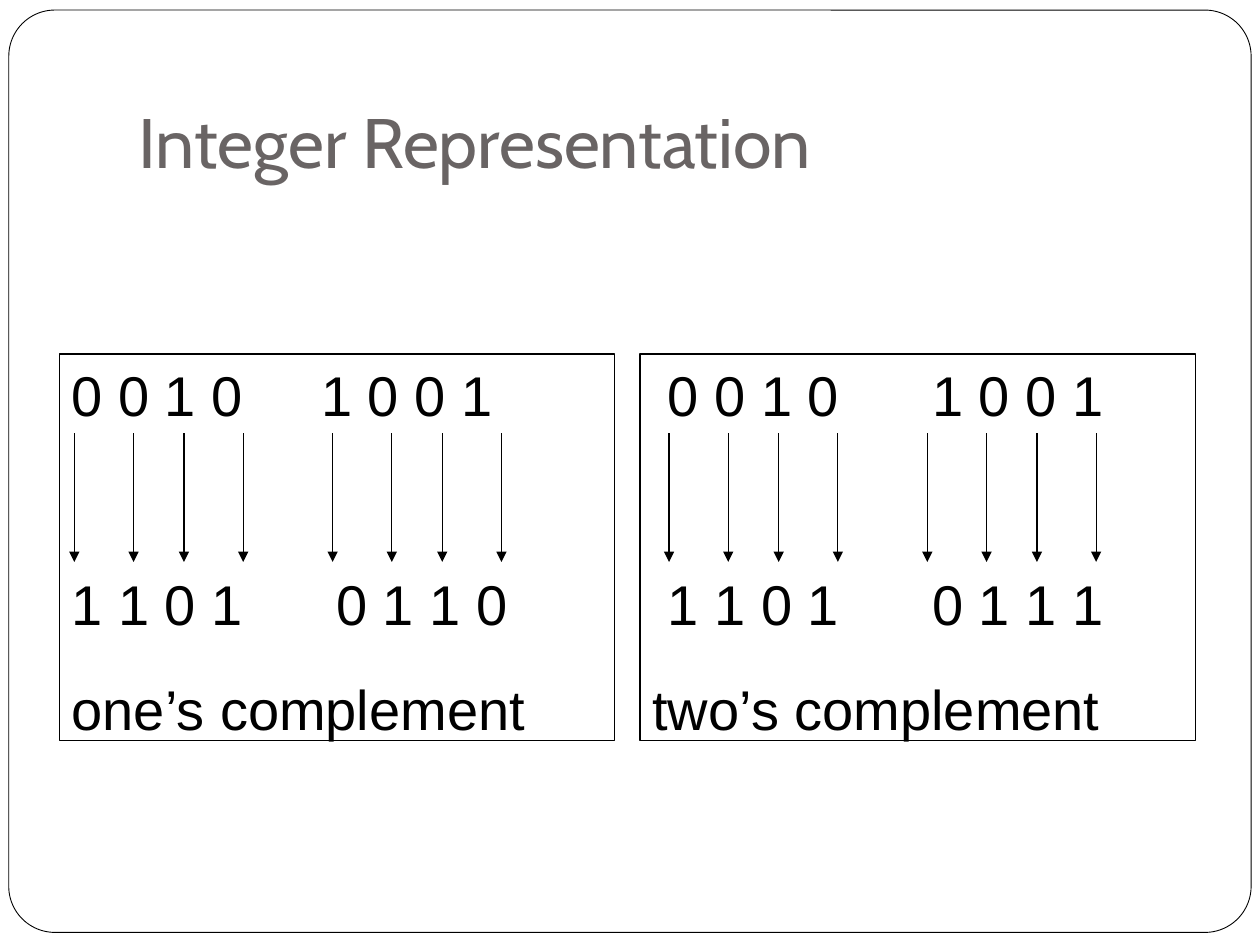
from lxml import etree
from pptx import Presentation
from pptx.dml.color import RGBColor
from pptx.enum.shapes import MSO_CONNECTOR, MSO_SHAPE
from pptx.enum.text import MSO_ANCHOR, PP_ALIGN
from pptx.oxml.ns import qn
from pptx.util import Inches, Pt

STRAIGHT = MSO_CONNECTOR.STRAIGHT
RECTANGLE, ROUNDED = MSO_SHAPE.RECTANGLE, MSO_SHAPE.ROUNDED_RECTANGLE
TOP, BOTTOM = MSO_ANCHOR.TOP, MSO_ANCHOR.BOTTOM
LEFT = PP_ALIGN.LEFT


def color(hex_code):
    return RGBColor.from_string(hex_code)


def add_outline(kind, left, top, width, height, line_width):
    outline = slide.shapes.add_shape(
        kind, Inches(left), Inches(top), Inches(width), Inches(height))
    outline.shadow.inherit = False
    outline.fill.background()
    outline.line.color.rgb = color("000000")
    outline.line.width = Pt(line_width)
    return outline


prs = Presentation()
prs.slide_width, prs.slide_height = Inches(10), Inches(7.5)
slide = prs.slides.add_slide(prs.slide_layouts[5])

# Rounded slide frame
frame = add_outline(ROUNDED, 0.07, 0.08, 9.86, 7.32, 0.5)
frame.adjustments[0] = 0.05

# Title
title = slide.shapes.title
title.left, title.top = Inches(1), Inches(0.3)
title.width, title.height = Inches(8.5), Inches(1.25)
heading = title.text_frame
heading.vertical_anchor = BOTTOM
heading.margin_bottom = Inches(0.1)
heading.paragraphs[0].alignment = LEFT
heading_run = heading.paragraphs[0].add_run()
heading_run.text = "Integer Representation"
heading_run.font.name = "Cabin"
heading_run.font.size = Pt(40)
heading_run.font.color.rgb = color("696464")

# Panels: left edge, first arrow, then (text, space before, tab stop) per row
panels = [
    (0.47, 0.59, [("0 0 1 0\t1 0 0 1", 0, 1.98),
                  ("1 1 0 1\t0 1 1 0", 81, 2.1),
                  ("one’s complement", 22, None)]),
    (5.08, 5.31, [(" 0 0 1 0\t1 0 0 1", 0, 2.22),
                  (" 1 1 0 1\t0 1 1 1", 81, 2.22),
                  ("two’s complement", 22, None)]),
]
bit_offsets = [0, 0.47, 0.87, 1.34]
nibble_offsets = [0, 2.05]

for panel_left, first_arrow, rows in panels:
    panel = add_outline(RECTANGLE, panel_left, 2.81, 4.41, 3.07, 0.75)
    content = panel.text_frame
    content.vertical_anchor = TOP
    content.word_wrap = True

    # Bit patterns and caption
    for i, (text, space_before, tab_stop) in enumerate(rows):
        row = content.paragraphs[0] if i == 0 else content.add_paragraph()
        row.alignment = LEFT
        row.space_before = Pt(space_before)
        if tab_stop:
            tabs = etree.SubElement(row._p.get_or_add_pPr(), qn("a:tabLst"))
            etree.SubElement(tabs, qn("a:tab"),
                             pos=str(Inches(tab_stop)), algn="l")
        run = row.add_run()
        run.text = text
        run.font.name = "Arial"
        run.font.size = Pt(32)
        run.font.color.rgb = color("000000")

    # One arrow per bit
    for nibble in nibble_offsets:
        for bit in bit_offsets:
            x = Inches(first_arrow + nibble + bit)
            arrow = slide.shapes.add_connector(
                STRAIGHT, x, Inches(3.44), x, Inches(4.46))
            arrow.line.color.rgb = color("000000")
            arrow.line.width = Pt(0.75)
            etree.SubElement(arrow.line._get_or_add_ln(),
                             qn("a:tailEnd"), type="triangle")
            etree.SubElement(arrow._element.spPr, qn("a:effectLst"))

prs.save("out.pptx")
